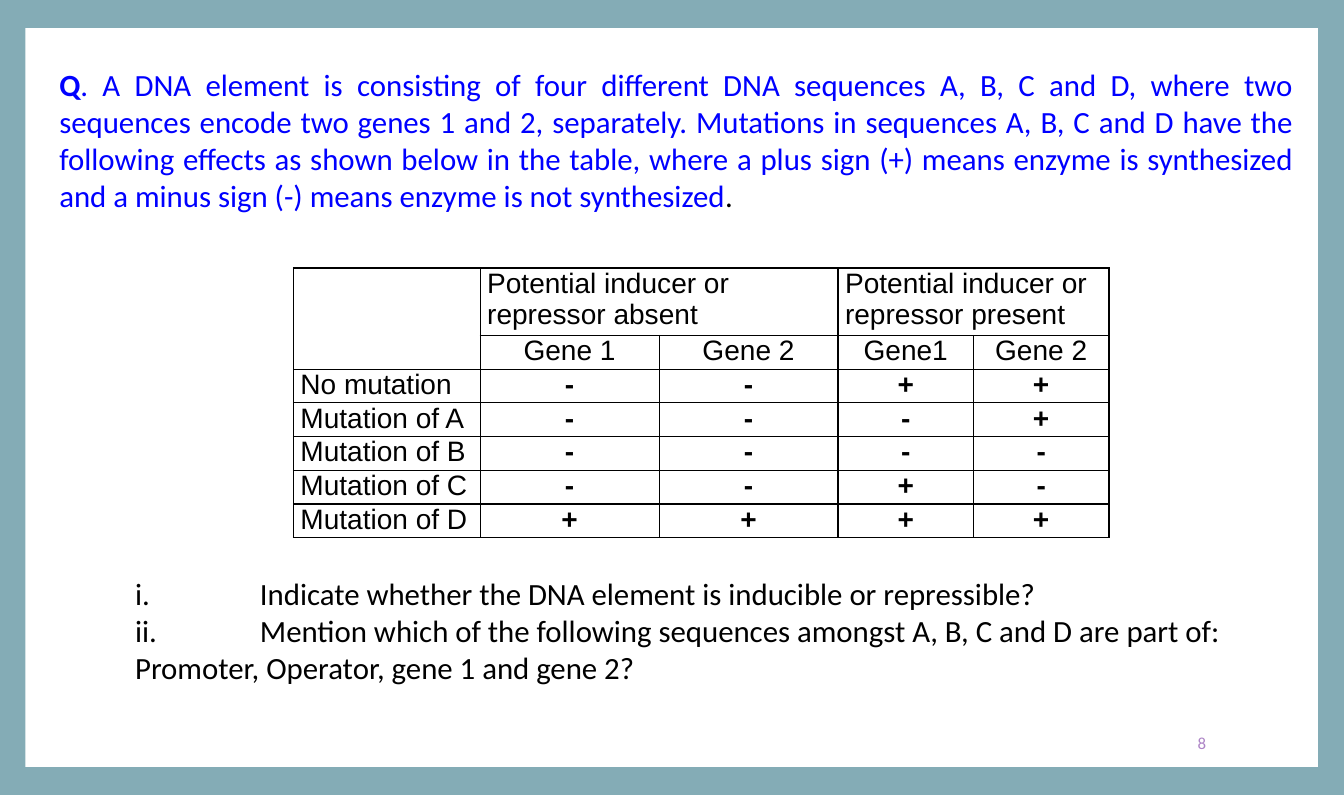
from lxml.etree import SubElement
from pptx import Presentation
from pptx.dml.color import RGBColor
from pptx.enum.shapes import MSO_SHAPE as Shape
from pptx.enum.text import MSO_ANCHOR as Anchor, PP_ALIGN as Align
from pptx.oxml.ns import qn
from pptx.util import Pt

BLACK, BLUE, WHITE = "000000", "0000FF", "FFFFFF"
TEAL, PURPLE = "84ACB6", "AD84C6"

QUESTION = [
    ("Q", True, BLUE),
    (". A DNA element is consisting of four different DNA sequences A, B, C and D, "
     "where two sequences encode two genes 1 and 2, separately. Mutations in sequences "
     "A, B, C and D have the following effects as shown below in the table, where a plus "
     "sign (+) means enzyme is synthesized and a minus sign (-) means enzyme is not "
     "synthesized", False, BLUE),
    (".", False, BLACK),
]
TASKS = [
    "i.\tIndicate whether the DNA element is inducible or repressible?",
    "ii.\tMention which of the following sequences amongst A, B, C and D are part of: "
    "Promoter, Operator, gene 1 and gene 2?",
]
HEADINGS = [
    ["", "Potential inducer or repressor absent", "",
     "Potential inducer or repressor present", ""],
    ["", "Gene 1", "Gene 2", "Gene1", "Gene 2"],
]
EFFECTS = {
    "No mutation": "--++",
    "Mutation of A": "---+",
    "Mutation of B": "----",
    "Mutation of C": "--+-",
    "Mutation of D": "++++",
}
COLUMN_WIDTHS = [133.2, 127.6, 127.6, 96.6, 96.6]
ROW_HEIGHTS = [48] + [24] * 6


def color(value):
    return RGBColor.from_string(value)


def set_font(font, size, name, value, bold=False):
    font.size, font.name, font.bold = Pt(size), name, bold
    font.color.rgb = color(value)


def add_panel(page, left, top, width, height):
    panel = page.shapes.add_shape(Shape.RECTANGLE, Pt(left), Pt(top), Pt(width), Pt(height))
    panel.shadow.inherit = False
    panel.fill.solid()
    panel.fill.fore_color.rgb = color(WHITE)
    panel.line.fill.background()


def add_text_frame(page, left, top, width, height):
    box = page.shapes.add_textbox(Pt(left), Pt(top), Pt(width), Pt(height))
    box.text_frame.word_wrap = True
    return box.text_frame


def add_question(page):
    para = add_text_frame(page, 35.2, 43.2, 894.2, 113.8).paragraphs[0]
    para.alignment = Align.JUSTIFY
    for text, bold, value in QUESTION:
        span = para.add_run()
        span.text = text
        set_font(span.font, 22, "Calibri", value, bold)


def add_tasks(page):
    frame = add_text_frame(page, 89.3, 406.1, 804.2, 87.1)
    for index, text in enumerate(TASKS):
        para = frame.paragraphs[0] if index == 0 else frame.add_paragraph()
        para.text = text
        tabs = SubElement(para._p.get_or_add_pPr(), qn("a:tabLst"))
        SubElement(tabs, qn("a:tab"), pos=str(Pt(89)), algn="l")
        set_font(para.font, 22, "Calibri", BLACK)


def add_page_number(page, number):
    frame = add_text_frame(page, 733.2, 514.5, 133.9, 30.2)
    frame.vertical_anchor = Anchor.MIDDLE
    para = frame.paragraphs[0]
    para.text = number
    para.alignment = Align.RIGHT
    set_font(para.font, 12, "Calibri", PURPLE)


def set_borders(cell):
    properties = cell._tc.get_or_add_tcPr()
    for index, side in enumerate(("lnL", "lnR", "lnT", "lnB")):
        line = properties.makeelement(qn(f"a:{side}"), {"w": str(Pt(1))})
        fill = SubElement(line, qn("a:solidFill"))
        SubElement(fill, qn("a:srgbClr"), val=BLACK)
        properties.insert(index, line)


def fill_cell(cell, text, centered, bold):
    cell.margin_left = cell.margin_right = Pt(5)
    cell.margin_top = cell.margin_bottom = 0
    cell.fill.background()
    set_borders(cell)
    para = cell.text_frame.paragraphs[0]
    para.text = text
    para.alignment = Align.CENTER if centered else Align.LEFT
    set_font(para.font, 20, "Arial", BLACK, bold)


def add_effects_table(page):
    rows = HEADINGS + [[name, *signs] for name, signs in EFFECTS.items()]
    table = page.shapes.add_table(
        len(rows), len(COLUMN_WIDTHS), Pt(209.2), Pt(191.2),
        Pt(sum(COLUMN_WIDTHS)), Pt(sum(ROW_HEIGHTS))).table
    table.first_row = table.horz_banding = False
    for column, width in zip(table.columns, COLUMN_WIDTHS):
        column.width = Pt(width)
    for row, height in zip(table.rows, ROW_HEIGHTS):
        row.height = Pt(height)
    for r, texts in enumerate(rows):
        for c, text in enumerate(texts):
            fill_cell(table.cell(r, c), text, r > 0 and c > 0, r > 1 and c > 0)
    # Blank corner and the two group headings
    for first, last in (((0, 0), (1, 0)), ((0, 1), (0, 2)), ((0, 3), (0, 4))):
        table.cell(*first).merge(table.cell(*last))


def main():
    deck = Presentation()
    deck.slide_width, deck.slide_height = Pt(958.3), Pt(567)
    page = deck.slides.add_slide(deck.slide_layouts[6])

    # Teal frame around a white panel
    page.background.fill.solid()
    page.background.fill.fore_color.rgb = color(TEAL)
    add_panel(page, 18.1, 20, 921.6, 527)

    # Content
    add_page_number(page, "8")
    add_question(page)
    add_effects_table(page)
    add_tasks(page)

    deck.save("out.pptx")


if __name__ == "__main__":
    main()
